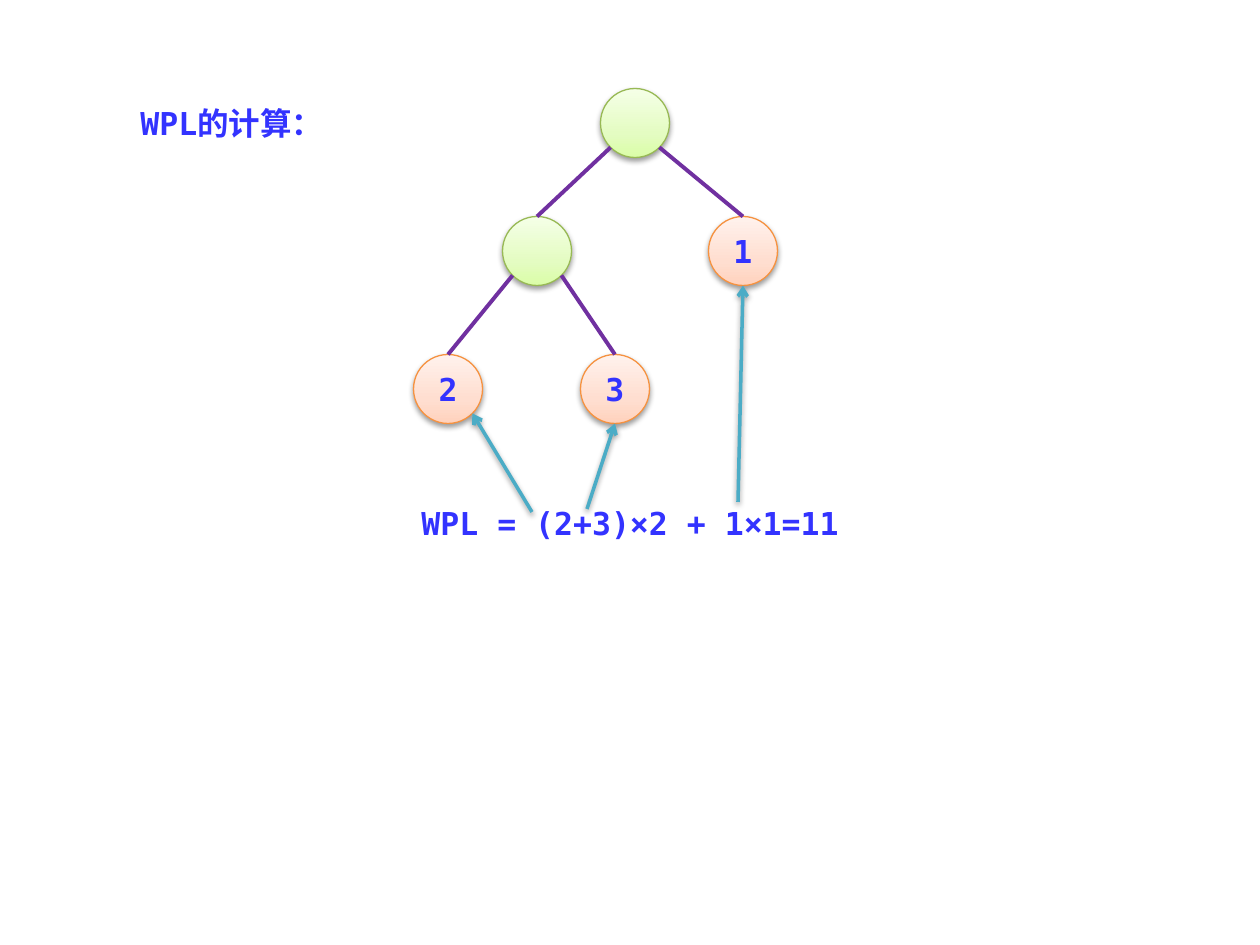
from copy import deepcopy
from dataclasses import dataclass
from math import sqrt

from lxml import etree
from pptx import Presentation
from pptx import util as u
from pptx.dml.color import RGBColor
from pptx.enum import shapes, text
from pptx.oxml.ns import qn

SCALE = 914400 / 126  # EMU in one px
DIAMETER = 69
RADIUS = DIAMETER / 2
DIAGONAL = RADIUS / sqrt(2)


@dataclass(frozen=True)
class Theme:
    font: str = "DejaVu Sans Mono"
    size: int = 18
    ink: str = "3333FF"
    edge: str = "7030A0"
    edge_width: float = 2.25
    arrow: str = "4BACC6"
    arrow_width: float = 2
    outline_width: float = 0.75
    inner_outline: str = "98B955"
    inner_fill: tuple = ("DAFDA7", "E4FCC2", "F5FFE7")
    leaf_outline: str = "F69240"
    leaf_fill: tuple = ("FFD2BD", "FFDED0", "FFF2ED")


THEME = Theme()

# Tree nodes: centre and weight (inner nodes have no weight)
NODES = {
    "root": (635, 123, ""),
    "inner": (537, 251, ""),
    "leaf 1": (743, 251, "1"),
    "leaf 2": (448, 389, "2"),
    "leaf 3": (615, 389, "3"),
}
# Each parent with its left and right child
CHILDREN = {"root": ("inner", "leaf 1"), "inner": ("leaf 2", "leaf 3")}


def px(length):
    return u.Emu(round(length * SCALE))


def color(value):
    return RGBColor.from_string(value)


def add_effects(element, shadow):
    """Give the shape properties an effect list, with or without a soft shadow."""
    effects = element.find(qn("a:effectLst"))
    if effects is None:
        effects = etree.SubElement(element, qn("a:effectLst"))
    if shadow:
        outer = etree.SubElement(effects, qn("a:outerShdw"), blurRad="40000",
                                 dist="20000", dir="5400000", rotWithShape="0")
        black = etree.SubElement(outer, qn("a:srgbClr"), val="000000")
        etree.SubElement(black, qn("a:alpha"), val="38000")


def fill_gradient(shape, colors):
    """Blend three colours upwards, the middle one at 35 %."""
    fill = shape.fill
    fill.gradient()
    fill.gradient_angle = 90
    stop_list = shape._element.spPr.find(".//" + qn("a:gsLst"))
    stop_list.insert(1, deepcopy(stop_list[0]))
    for stop, position, value in zip(fill.gradient_stops, (0, 0.35, 1), colors):
        stop.position = position
        stop.color.rgb = color(value)


def write(shape, content, alignment):
    paragraph = shape.text_frame.paragraphs[0]
    paragraph.alignment = alignment
    run = paragraph.add_run()
    run.text = content
    run.font.name = THEME.font
    run.font.size = u.Pt(THEME.size)
    run.font.bold = True
    run.font.color.rgb = color(THEME.ink)


def add_node(slide, x, y, weight):
    shape = slide.shapes.add_shape(shapes.MSO_SHAPE.OVAL, px(x - RADIUS), px(y - RADIUS),
                                   px(DIAMETER), px(DIAMETER))
    fill_gradient(shape, THEME.leaf_fill if weight else THEME.inner_fill)
    shape.line.color.rgb = color(THEME.leaf_outline if weight else THEME.inner_outline)
    shape.line.width = u.Pt(THEME.outline_width)
    shape.shadow.inherit = False
    add_effects(shape._element.spPr, shadow=True)
    if weight:
        shape.text_frame.vertical_anchor = text.MSO_ANCHOR.MIDDLE
        write(shape, weight, text.PP_ALIGN.CENTER)


def add_line(slide, start, end, line_color, width, arrow=False):
    connector = slide.shapes.add_connector(shapes.MSO_CONNECTOR.STRAIGHT,
                                           *map(px, start + end))
    connector.line.color.rgb = color(line_color)
    connector.line.width = u.Pt(width)
    if arrow:
        etree.SubElement(connector.line._get_or_add_ln(), qn("a:tailEnd"), type="arrow")
    add_effects(connector._element.spPr, shadow=arrow)


def add_label(slide, left, top, width, content, alignment=text.PP_ALIGN.LEFT):
    box = slide.shapes.add_textbox(px(left), px(top), px(width), px(50))
    box.text_frame.word_wrap = True
    box.text_frame.auto_size = text.MSO_AUTO_SIZE.SHAPE_TO_FIT_TEXT
    write(box, content, alignment)


def add_tree(slide):
    for node in NODES.values():
        add_node(slide, *node)
    for parent, children in CHILDREN.items():
        x, y, _ = NODES[parent]
        for side, child in zip((-1, 1), children):
            child_x, child_y, _ = NODES[child]
            add_line(slide, (x + side * DIAGONAL, y + DIAGONAL),
                     (child_x, child_y - RADIUS), THEME.edge, THEME.edge_width)


def add_formula(slide):
    add_label(slide, 325, 498, 610, "WPL = (2+3)×2 + 1×1=11", text.PP_ALIGN.CENTER)
    # Arrows from the weights in the formula to the leaves
    for start, leaf, offset in (
        ((532, 512), "leaf 2", (DIAGONAL, DIAGONAL)),
        ((587, 509), "leaf 3", (0, RADIUS)),
        ((738, 502), "leaf 1", (0, RADIUS)),
    ):
        x, y, _ = NODES[leaf]
        add_line(slide, start, (x + offset[0], y + offset[1]),
                 THEME.arrow, THEME.arrow_width, arrow=True)


def main():
    presentation = Presentation()
    presentation.slide_width, presentation.slide_height = px(1260), px(945)
    slide = presentation.slides.add_slide(presentation.slide_layouts[6])
    add_tree(slide)
    add_label(slide, 128, 98, 305, "WPL的计算：")
    add_formula(slide)
    presentation.save("out.pptx")


if __name__ == "__main__":
    main()
